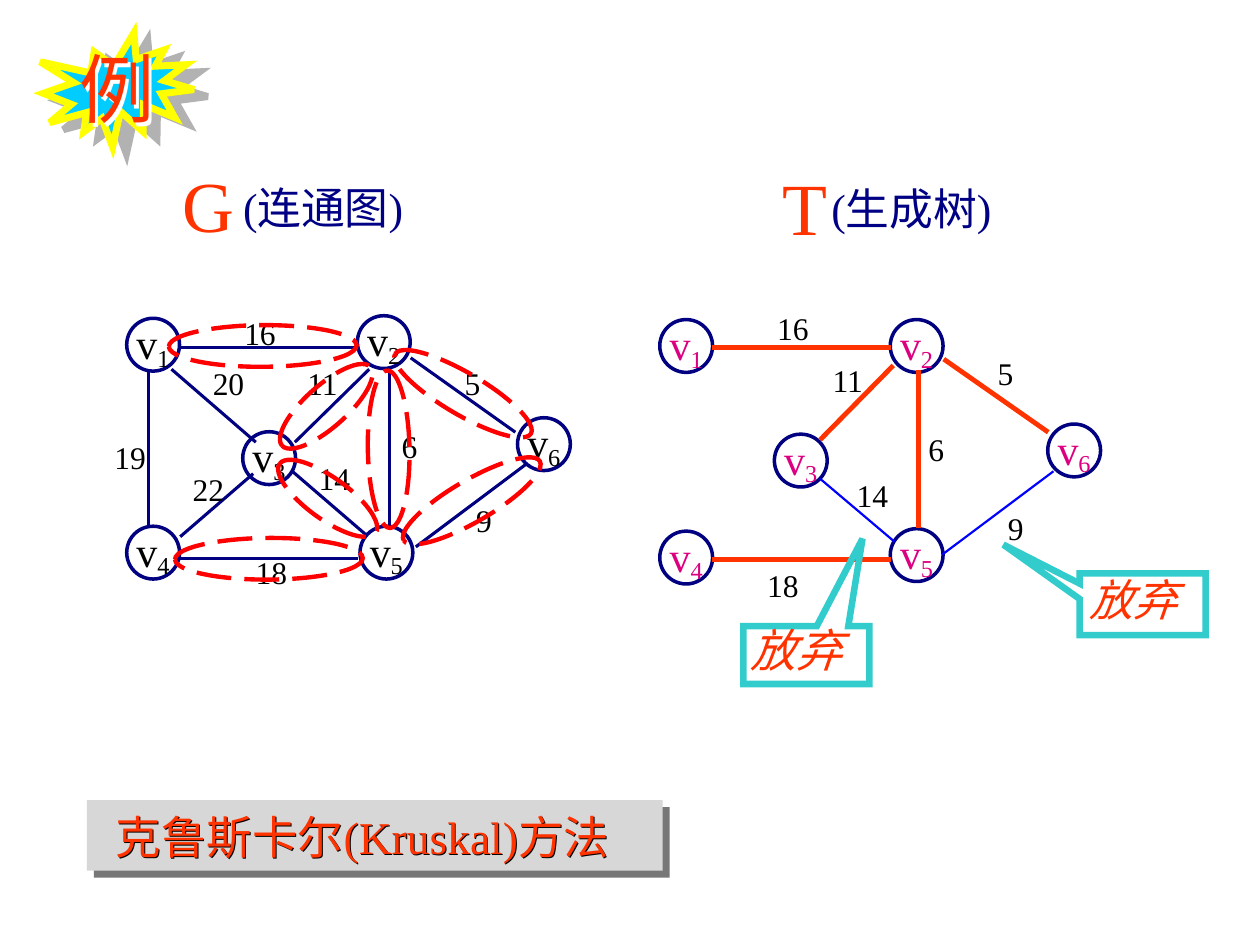
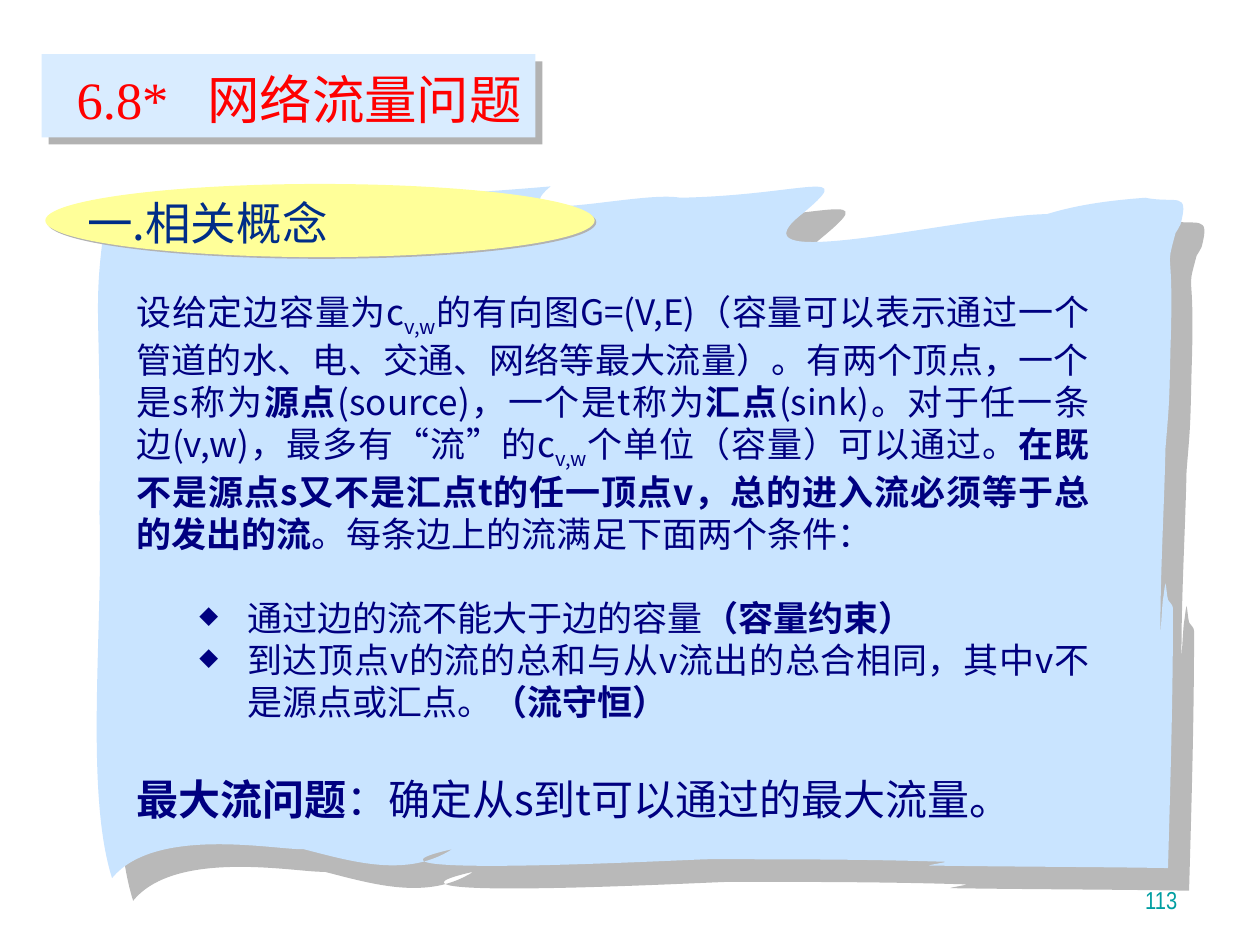
from lxml import etree
from pptx import Presentation
from pptx.dml.color import RGBColor
from pptx.enum import dml, shapes, text
from pptx.oxml import ns
from pptx.util import Pt

SERIF, SANS = "Times New Roman", "Noto Sans CJK SC"
NAVY, RED, BLACK, PINK = "000080", "FF3300", "000000", "DC0081"
GREY = "B2B2B2"
KIND = shapes.MSO_SHAPE
LEFT, MID, RIGHT, JUST = (text.PP_ALIGN.LEFT, text.PP_ALIGN.CENTER,
                          text.PP_ALIGN.RIGHT, text.PP_ALIGN.JUSTIFY)
NODE = 30.2


def hue(code):
    return RGBColor.from_string(code)


def lens(*values):
    return [Pt(v) for v in values]


def add(parent, tag, **attrs):
    node = etree.SubElement(parent, ns.qn(tag))
    for key, value in attrs.items():
        node.set(key, str(value))
    return node


def shade(shape, code, dist, angle):
    shape.shadow.inherit = False
    effects = shape._element.spPr.find(ns.qn("a:effectLst"))
    outer = add(effects, "a:outerShdw", blurRad=0, dist=int(Pt(dist)),
                dir=int(angle * 60000), algn="ctr", rotWithShape=0)
    add(outer, "a:srgbClr", val=code)


def paint(shape, fill=None, line=None, width=1):
    shape.shadow.inherit = False
    if fill:
        shape.fill.solid()
        shape.fill.fore_color.rgb = hue(fill)
    else:
        shape.fill.background()
    if line:
        shape.line.color.rgb = hue(line)
        shape.line.width = Pt(width)
        add(shape._element.spPr.find(ns.qn("a:ln")), "a:miter", lim=800000)
    else:
        shape.line.fill.background()
    return shape


def form(slide, kind, box, **look):
    return paint(slide.shapes.add_shape(kind, *lens(*box)), **look)


def write(para, runs, size, code, face=SERIF, align=LEFT, before=0, slant=None):
    for words, style in runs:
        run = para.add_run()
        run.text = words
        if style == "b":
            run.font.bold = True
        elif style:
            run._r.get_or_add_rPr().set("baseline", str(style * 1000))
    para.alignment = align
    if before:
        para.space_before = Pt(before)
    font = para.font
    font.size, font.name, font.italic = Pt(size), face, slant
    font.color.rgb = hue(code)
    add(font._rPr, "a:ea", typeface=SANS)


def label(slide, box, words, size, code, wrap=True, **style):
    shape = slide.shapes.add_textbox(*lens(*box))
    shape.text_frame.word_wrap = wrap
    write(shape.text_frame.paragraphs[0], [(words, 0)], size, code, **style)
    return shape


def band(slide, box, fill, dark, shift, words, size, code, tab=None):
    x, y, w, h = box
    shade(form(slide, KIND.RECTANGLE, box, fill=fill), dark, 5.7, 45)
    title = slide.shapes.title
    title.left, title.top, title.width, title.height = lens(
        x, y + shift[1], w + 60, h)
    slide.shapes._spTree.append(title._element)
    frame = title.text_frame
    frame.word_wrap = True
    frame.auto_size = text.MSO_AUTO_SIZE.NONE
    frame.vertical_anchor = text.MSO_ANCHOR.TOP
    frame.margin_left = Pt(shift[0])
    para = frame.paragraphs[0]
    if tab:
        stops = add(para._p.get_or_add_pPr(), "a:tabLst")
        add(stops, "a:tab", pos=int(Pt(tab)), algn="l")
    write(para, [(words, 0)], size, code)
    para.line_spacing = 1.0
    return title


def graph(slide, origin, spots, edges, code):
    x, y = origin
    for num, (dx, dy) in enumerate(spots, 1):
        node = form(slide, KIND.OVAL, (x + dx - 0.3, y + dy - 0.3, NODE, NODE),
                    line=NAVY, width=2)
        frame = node.text_frame
        frame.word_wrap = False
        frame.vertical_anchor = text.MSO_ANCHOR.MIDDLE
        write(frame.paragraphs[0], [("v", 0), (str(num), -18)], 24, code,
              align=MID)
    for cost, ends, place, line, width in edges:
        x1, y1, x2, y2 = ends
        edge = slide.shapes.add_connector(
            shapes.MSO_CONNECTOR.STRAIGHT,
            *lens(x + x1, y + y1, x + x2, y + y2))
        edge.line.color.rgb = hue(line)
        edge.line.width = Pt(width)
        add(edge._element.spPr, "a:effectLst")
        wide = 32.4 if cost > 9 else 23.8
        label(slide, (x + place[0], y + place[1], wide, 28.8), str(cost),
              18, BLACK, wrap=False)


def rings(slide, origin, marks):
    x, y = origin
    for dx, dy, wide, turn in marks:
        ring = form(slide, KIND.OVAL, (x + dx, y + dy, wide, 23.8),
                    line="FF0000", width=2.5)
        ring.rotation = turn
        ring.line.dash_style = dml.MSO_LINE.LONG_DASH


def head(slide, box, mark, size, words, gap):
    x, y, w, h = box
    label(slide, box, mark, size, RED, wrap=False, align=MID)
    label(slide, (x + gap, y + 11, 126, 37.4), words, 25, "000084")


def drop(slide, box, tip, shift, size):
    x, y, w, h = box
    shape = form(slide, KIND.RECTANGULAR_CALLOUT, box, line="33CCCC", width=3.75)
    for i, value in enumerate(tip):
        shape.adjustments[i] = value
    label(slide, (x - shift[0], y - shift[1], w + 8, 38), "放弃", size, RED,
          slant=True)


def burst(slide, box):
    x, y, w, h = box
    star = form(slide, KIND.EXPLOSION1, box, fill="00CCFF", line="FFFF00", width=4)
    star.rotation = 349.6
    shade(star, GREY, 8.9, 27)
    sign = label(slide, (x + 13, y, w, h), "例", 43, RED)
    shade(sign, "FFFFFF", 2.5, 45)


G_SPOTS = [(0.7, 2.2), (132.5, 0.7), (67, 67), (0.7, 121), (134, 121), (224, 59)]
G_EDGES = [
    (16, (31, 18.7, 132.5, 18.7), (60.5, -4.3)),
    (19, (13, 31, 13, 121), (-13.7, 67)),
    (5, (162.7, 24.5, 222.5, 67), (186.5, 24.5)),
    (18, (31, 139, 132.5, 139), (67, 132.5)),
    (6, (150.5, 31, 150.5, 121), (150.5, 60.5)),
    (9, (165.6, 132.5, 229, 85), (193, 103)),
    (20, (26, 31, 74.2, 72.7), (42.5, 24.5)),
    (22, (31, 126.7, 72.7, 90.7), (31, 85)),
    (14, (95, 89.3, 136.8, 125.3), (103, 78.5)),
    (11, (96.5, 72.7, 139, 31), (96.5, 24.5)),
]
T_SPOTS = [(1.3, 2.9), (133, 2.9), (66.8, 68.4), (1.3, 123.8), (133, 122.4),
           (223, 62.6)]
T_EDGES = [
    (5, (163.3, 25.2, 223, 67), (187, 18.7)),
    (6, (148.9, 31.7, 148.9, 121.7), (147.4, 62)),
    (9, (162.6, 136.8, 226, 89.3), (192.8, 107.3)),
    (11, (92.7, 71.3, 134.5, 28.8), (92.7, 23)),
    (14, (92.7, 93.6, 135.2, 129.6), (106.4, 88.6)),
    (16, (30.8, 18.7, 133, 18.7), (61, -7.2)),
    (18, (30.8, 139.7, 133, 139.7), (55.3, 139.7)),
]
CUT = {9, 14}
RINGS = [
    (147.6, 33.1, 90, 30.4), (105.1, 64.8, 90, 89), (152.6, 94.3, 90, 329.8),
    (80.6, 40.3, 67.7, 318.3), (81.4, 92.9, 67.7, 35.8),
    (24.5, 5.8, 107.3, 359.6), (28, 127.4, 107.3, 359.6),
]


def kruskal(deck):
    slide = deck.slides.add_slide(deck.slide_layouts[5])
    head(slide, (95.8, 88.6, 46, 56), "G", 41, "(连通图)", 36)
    head(slide, (438.5, 89.3, 42.5, 57.6), "T", 42, "(生成树)", 29.5)
    left, right = (72, 180), (376, 180)
    graph(slide, left, G_SPOTS, [e + (NAVY, 1.75) for e in G_EDGES], BLACK)
    graph(slide, right, T_SPOTS,
          [e + (("0000FF", 1.25) if e[0] in CUT else (RED, 2.75))
           for e in T_EDGES], PINK)
    rings(slide, left, RINGS)
    drop(slide, (617, 327.6, 72, 35.3), (-1.106, -0.965), (1.4, 3.6), 25)
    drop(slide, (424.8, 357.8, 72, 33.1), (0.446, -2.007), (2.9, 5.8), 26)
    title = band(slide, (49.7, 457.2, 329, 40.3), "D7D7D7", "777777",
                 (16.5, 1.4), "克鲁斯卡尔(Kruskal)方法", 26, RED)
    shade(title, BLACK, 0.8, 45)
    burst(slide, (25.2, 20.9, 85, 61.9))


START = (139, 157)
CURVES = [
    (199, 160, 241, 162, 303, 160), (347, 154, 392, 152, 437, 148),
    (397, 181, 508, 151, 540, 157), (639, 155, 684, 131, 634, 172),
    (579, 218, 766, 171, 831, 170), (857, 162, 883, 159, 909, 157),
    (934, 162, 944, 151, 937, 178), (936, 180, 935, 182, 933, 185),
    (924, 219, 932, 187, 929, 277), (928, 322, 928, 320, 925, 356),
    (924, 404, 921, 452, 921, 500), (921, 509, 922, 484, 923, 476),
    (924, 471, 924, 467, 925, 463), (926, 467, 926, 472, 927, 476),
    (928, 478, 931, 480, 931, 483), (931, 552, 929, 620, 927, 689),
    (864, 688, 801, 688, 738, 687), (734, 687, 754, 684, 750, 684),
    (687, 682, 625, 682, 562, 682), (550, 682, 251, 698, 359, 674),
    (323, 697, 280, 684, 241, 674), (221, 675, 123, 655, 89, 697),
    (67, 628, 82, 496, 79, 408), (81, 233, 72, 253, 85, 165),
    (88, 166, 91, 165, 94, 167), (104, 176, 89, 177, 105, 172),
    (110, 164, 114, 158, 121, 153), (128, 154, 133, 155, 139, 157),
    (139, 157, 155, 164, 139, 157),
]


def bend(shape):
    lines = list(shape._element.iter(ns.qn("a:lnTo")))
    for i in range(0, len(lines), 3):
        curve = etree.Element(ns.qn("a:cubicBezTo"))
        lines[i].addprevious(curve)
        for line in lines[i:i + 3]:
            curve.append(line[0])
            line.getparent().remove(line)


def sheet(slide):
    pen = slide.shapes.build_freeform(*START, scale=Pt(0.72))
    dots = [c[i:i + 2] for c in CURVES for i in (0, 2, 4)]
    pen.add_line_segments(dots, close=True)
    page = paint(pen.convert_to_shape(), fill="C9E4FF")
    bend(page)
    shade(page, "B9B9B9", 17.7, 47)


BODY = [
    ([("设给定边容量为c", 0), ("v,w", -25),
      ("的有向图G=(V,E)（容量可以表示通过一个管道的水、电、交通、网络等最大流量）。"
       "有两个顶点，一个是s称为", 0),
      ("源点", "b"), ("(source)，一个是t称为", 0), ("汇点", "b"),
      ("(sink)。对于任一条边(v,w)，最多有“流”的c", 0), ("v,w", -25),
      ("个单位（容量）可以通过。", 0),
      ("在既不是源点s又不是汇点t的任一顶点v，总的进入流必须等于总的发出的流", "b"),
      ("。每条边上的流满足下面两个条件：", 0)], 20, 0, False),
    ([("通过边的流不能大于边的容量", 0), ("（容量约束）", "b")], 20, 24, True),
    ([("到达顶点v的流的总和与从v流出的总合相同，其中v不是源点或汇点。", 0),
      ("（流守恒）", "b")], 20, 0, True),
    ([("最大流问题", "b"), ("：确定从s到t可以通过的最大流量。", 0)],
     24, 29, False),
]


def prose(slide, box):
    frame = slide.shapes.add_textbox(*lens(*box)).text_frame
    frame.word_wrap = True
    for i, (runs, size, before, dot) in enumerate(BODY):
        para = frame.add_paragraph() if i else frame.paragraphs[0]
        if dot:
            props = para._p.get_or_add_pPr()
            props.set("marL", str(int(Pt(63.4))))
            props.set("indent", str(int(Pt(-27.4))))
            add(props, "a:buSzPct", val=70000)
            add(props, "a:buChar", char="◆")
        write(para, runs, size, NAVY, SANS, JUST, before)


def flow(deck):
    slide = deck.slides.add_slide(deck.slide_layouts[5])
    page = label(slide, (530, 490.3, 149.8, 36), "113", 14, "009EA1",
                 face="Arial Narrow", align=RIGHT)
    page.text_frame.vertical_anchor = text.MSO_ANCHOR.BOTTOM
    band(slide, (23.8, 31, 282.2, 47.5), "D9ECFF", GREY, (20, 3.6),
         "6.8*\t网络流量问题", 30, "FF0000", tab=74.5)
    sheet(slide)
    prose(slide, (70.8, 162.7, 558.7, 307.4))
    oval = form(slide, KIND.OVAL, (25.9, 105.1, 313.9, 41.8), fill="FFFF99")
    shade(oval, GREY, 1.4, 45)
    label(slide, (42.8, 108, 290.9, 38.2), "一.相关概念", 26, "002D88",
          face=SANS)


def main():
    deck = Presentation()
    deck.slide_width, deck.slide_height = lens(720, 540)
    kruskal(deck)
    flow(deck)
    deck.save("out.pptx")


if __name__ == "__main__":
    main()
